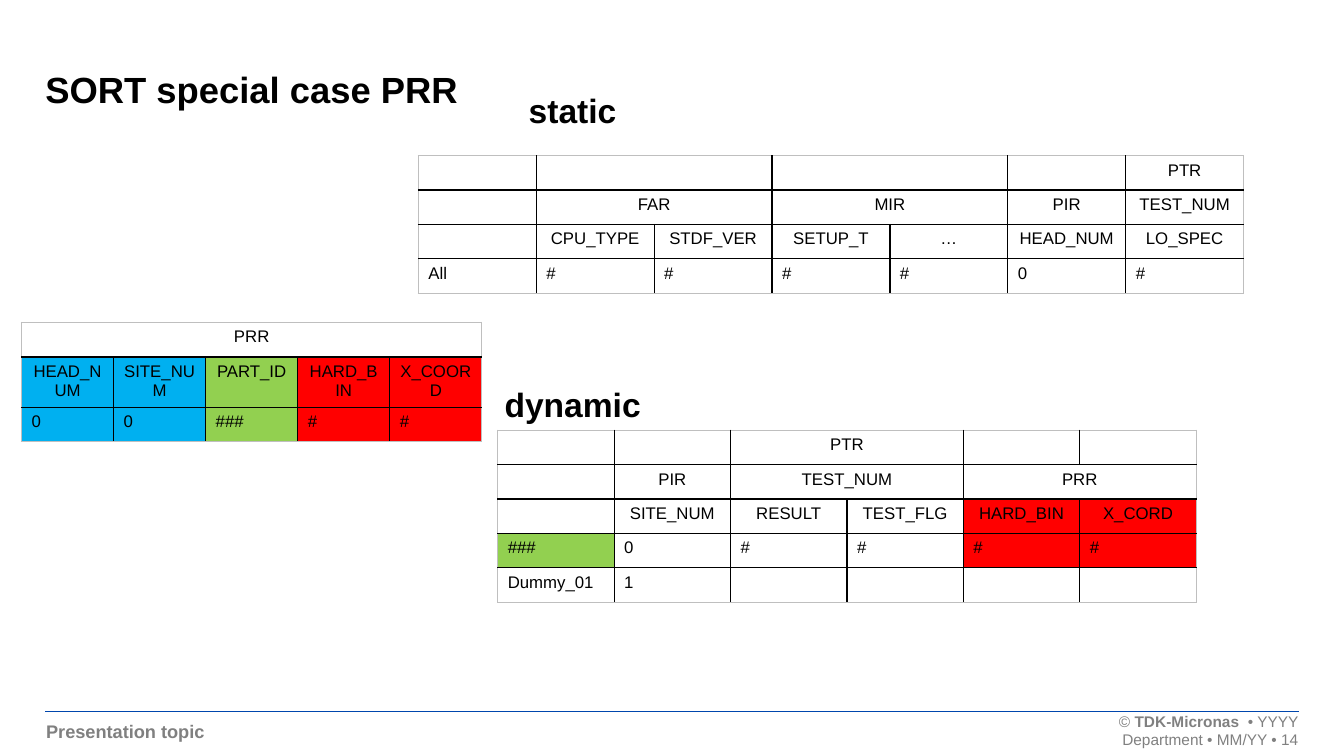
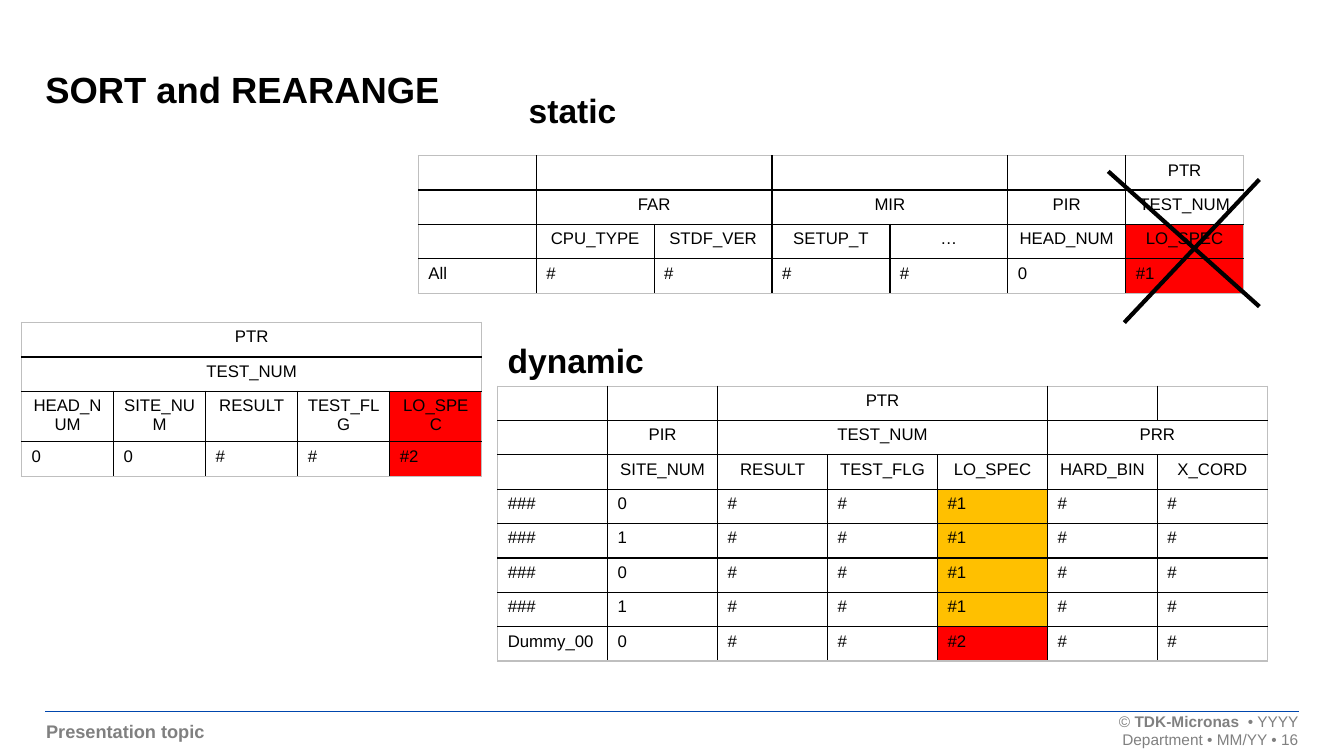
"""Build two slides on sorting test records into static and dynamic tables."""
from lxml.etree import SubElement
from pptx import Presentation
from pptx.dml.color import RGBColor
from pptx.enum.shapes import MSO_CONNECTOR
from pptx.enum.text import MSO_ANCHOR, MSO_AUTO_SIZE, PP_ALIGN
from pptx.oxml.ns import qn
from pptx.util import Pt

BLACK = RGBColor(0, 0, 0)
WHITE = RGBColor(255, 255, 255)
GREY = RGBColor(128, 128, 128)
EDGE_GREY = RGBColor(191, 191, 191)
RULE_BLUE = RGBColor(0, 70, 173)
BLUE = RGBColor(0, 176, 240)
GREEN = RGBColor(146, 208, 80)
RED = RGBColor(255, 0, 0)
AMBER = RGBColor(255, 192, 0)
FONT = "Arial"
ROW_HEIGHT = 24.55
MERGE_LEFT = "<"


def add_text(slide, box, lines, size, color=BLACK, bold=True, align=PP_ALIGN.LEFT,
             anchor=MSO_ANCHOR.MIDDLE, label=False):
    frame = slide.shapes.add_textbox(*map(Pt, box)).text_frame
    frame.word_wrap = not label
    frame.vertical_anchor = anchor
    if label:
        frame.auto_size = MSO_AUTO_SIZE.SHAPE_TO_FIT_TEXT
    else:
        frame.margin_left = frame.margin_right = frame.margin_top = frame.margin_bottom = 0
    frame.text = "\n".join(lines)
    for paragraph in frame.paragraphs:
        paragraph.alignment = align
        paragraph.font.name = FONT
        paragraph.font.size = Pt(size)
        paragraph.font.bold = bold
        paragraph.font.color.rgb = color
    return frame


def add_grid(slide, left, top, column_width, header_rows, rows, fills):
    rows = [row.split("|") for row in rows]
    columns = len(rows[0])
    table = slide.shapes.add_table(
        len(rows), columns, Pt(left), Pt(top),
        Pt(column_width * columns), Pt(ROW_HEIGHT * len(rows))).table
    table.first_row = table.horz_banding = False
    for column in table.columns:
        column.width = Pt(column_width)
    for r, row in enumerate(rows):
        table.rows[r].height = Pt(ROW_HEIGHT)
        for c, text in enumerate(row):
            cell = table.cell(r, c)
            end = c + 1
            while end < columns and row[end] == MERGE_LEFT:
                end += 1
            if text != MERGE_LEFT:
                cell.text = text
                if end > c + 1:
                    cell.merge(table.cell(r, end - 1))
            paragraph = cell.text_frame.paragraphs[0]
            paragraph.alignment = PP_ALIGN.CENTER if r < header_rows else PP_ALIGN.LEFT
            paragraph.font.name = FONT
            paragraph.font.size = Pt(12)
            paragraph.font.color.rgb = BLACK
            if text in ("", MERGE_LEFT):
                SubElement(paragraph._p, qn("a:endParaRPr"), sz="1200")
            properties = cell._tc.get_or_add_tcPr()
            outer_sides = (("a:lnL", c == 0), ("a:lnR", end == columns),
                           ("a:lnT", r == 0), ("a:lnB", r == len(rows) - 1))
            for side, outer in outer_sides:
                border = SubElement(properties, qn(side), w=str(Pt(1)))
                ink = SubElement(border, qn("a:solidFill"))
                SubElement(ink, qn("a:srgbClr"), val=str(EDGE_GREY if outer else BLACK))
            cell.fill.solid()
            cell.fill.fore_color.rgb = fills.get((r, c), WHITE)


prr_fills = {(r, c): color for r in (1, 2)
             for c, color in enumerate((BLUE, BLUE, GREEN, RED, RED))}
dynamic_prr_fills = {(r, c): RED for r in (2, 3) for c in (4, 5)}
moved_spec_fills = {(r, 4): AMBER for r in range(3, 7)}

slides = [
    {
        "title": "SORT special case PRR", "page": 14,
        "spec": "#", "spec_fills": {},
        "record": (2, ["PRR|<|<|<|<",
                       "HEAD_NUM|SITE_NUM|PART_ID|HARD_BIN|X_COORD",
                       "0|0|###|#|#"], prr_fills),
        "dynamic_top": 307.4, "dynamic_column": 83.2,
        "dynamic": (3, ["||PTR|<||",
                        "|PIR|TEST_NUM|<|PRR|<",
                        "|SITE_NUM|RESULT|TEST_FLG|HARD_BIN|X_CORD",
                        "###|0|#|#|#|#",
                        "Dummy_01|1||||"], {**dynamic_prr_fills, (3, 0): GREEN}),
        "dynamic_label": (353.5, 270.7),
        "cross": [],
    },
    {
        "title": "SORT and REARANGE", "page": 16,
        "spec": "#1", "spec_fills": {(2, 6): RED, (3, 6): RED},
        "record": (3, ["PTR|<|<|<|<",
                       "TEST_NUM|<|<|<|<",
                       "HEAD_NUM|SITE_NUM|RESULT|TEST_FLG|LO_SPEC",
                       "0|0|#|#|#2"], {(2, 4): RED, (3, 4): RED}),
        "dynamic_top": 275.8, "dynamic_column": 78.6,
        "dynamic": (3, ["||PTR|<|<||",
                        "|PIR|TEST_NUM|<|<|PRR|<",
                        "|SITE_NUM|RESULT|TEST_FLG|LO_SPEC|HARD_BIN|X_CORD",
                        *[f"###|{site}|#|#|#1|#|#" for site in (0, 1, 0, 1)],
                        "Dummy_00|0|#|#|#2|#|#"], {**moved_spec_fills, (7, 4): RED}),
        "dynamic_label": (355.7, 239),
        "cross": [(900, 219, 792, 122.4), (803.5, 230.4, 900, 128.2)],
    },
]

presentation = Presentation()
presentation.slide_width = Pt(960.5)
presentation.slide_height = Pt(540)

for content in slides:
    slide = presentation.slides.add_slide(presentation.slide_layouts[6])
    add_text(slide, (33, 514, 662, 16), ["Presentation topic"], 13, GREY)
    imprint = add_text(slide, (695, 508.3, 233, 26.6),
                       ["© ", f"Department • MM/YY • {content['page']}"],
                       11, GREY, bold=False, align=PP_ALIGN.RIGHT)
    for text, bold in (("TDK-Micronas  ", True), ("• YYYY", False)):
        run = imprint.paragraphs[0].add_run()
        run.text = text
        run.font.bold = bold
    add_text(slide, (32.4, 16.6, 606, 62.6), [content["title"]], 26, anchor=MSO_ANCHOR.BOTTOM)

    add_grid(slide, 15.4, 230.4, 65.8, *content["record"])
    static_rows = ["||<||<||PTR",
                   "|FAR|<|MIR|<|PIR|TEST_NUM",
                   "|CPU_TYPE|STDF_VER|SETUP_T|…|HEAD_NUM|LO_SPEC",
                   f"All|#|#|#|#|0|{content['spec']}"]
    add_grid(slide, 299, 111.2, 84.25, 3, static_rows, content["spec_fills"])
    add_grid(slide, 355.7, content["dynamic_top"], content["dynamic_column"], *content["dynamic"])

    strokes = [((32.4, 508.3, 928, 508.3), RULE_BLUE, 1)]
    strokes += [(ends, BLACK, 3) for ends in content["cross"]]
    for ends, color, weight in strokes:
        stroke = slide.shapes.add_connector(MSO_CONNECTOR.STRAIGHT, *map(Pt, ends))
        stroke.line.color.rgb = color
        stroke.line.width = Pt(weight)
        SubElement(stroke._element.spPr, qn("a:effectLst"))

    for name, (left, top), width in (("static", (370.8, 60.5), 78),
                                     ("dynamic", content["dynamic_label"], 113)):
        add_text(slide, (left, top, width, 36), [name], 24, anchor=MSO_ANCHOR.TOP, label=True)

presentation.save("out.pptx")
